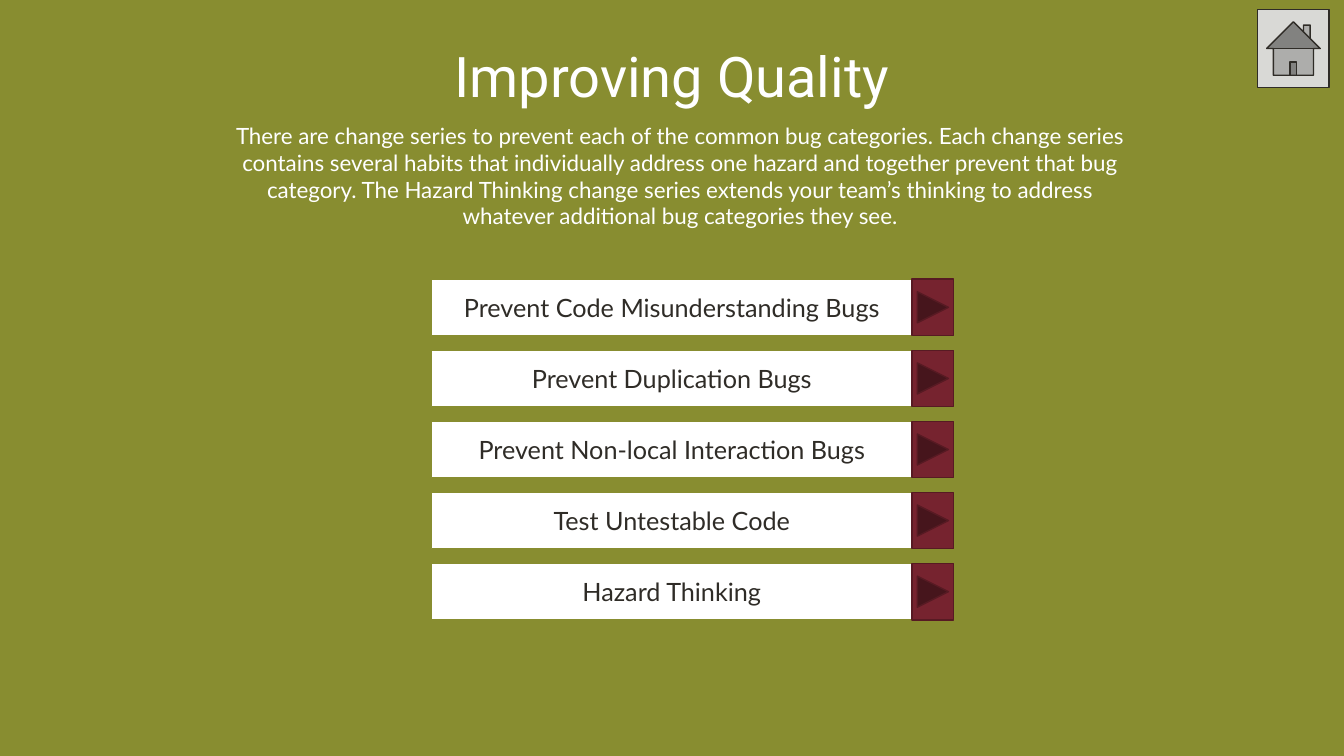
from dataclasses import dataclass

from lxml.etree import SubElement
from pptx import Presentation
from pptx.dml.color import RGBColor
from pptx.enum.shapes import MSO_SHAPE
from pptx.enum.text import MSO_ANCHOR, MSO_AUTO_SIZE, PP_ALIGN
from pptx.oxml.ns import qn
from pptx.util import Pt


@dataclass(frozen=True)
class Theme:
    olive: str = "888D30"
    white: str = "FFFFFF"
    ink: str = "2F2C27"
    wine: str = "76232F"
    edge: str = "571A23"
    grey: str = "D9D9D6"
    head: str = "Roboto"
    text: str = "Lato"
    big: int = 40
    mid: int = 18
    small: int = 16


THEME = Theme()
INTRO = (
    "There are change series to prevent each of the common bug categories. "
    "Each change series contains several habits that individually address one "
    "hazard and together prevent that bug category. The Hazard Thinking change "
    "series extends your team’s thinking to address whatever additional bug "
    "categories they see."
)
TOPICS = (
    "Prevent Code Misunderstanding Bugs",
    "Prevent Duplication Bugs",
    "Prevent Non-local Interaction Bugs",
    "Test Untestable Code",
    "Hazard Thinking",
)


def color(code):
    return RGBColor.from_string(code)


def write(shape, text, face, size, tint, anchor):
    """Put one centred paragraph into a shape."""
    frame = shape.text_frame
    frame.text = text
    frame.word_wrap = True
    frame.auto_size = MSO_AUTO_SIZE.NONE
    frame.vertical_anchor = anchor
    line = frame.paragraphs[0]
    line.alignment = PP_ALIGN.CENTER
    line.space_before = Pt(0)
    font = line.runs[0].font
    font.name, font.size = face, Pt(size)
    font.color.rgb = color(tint)
    return line


def place(shape, box):
    shape.left, shape.top, shape.width, shape.height = map(Pt, box)


def draw(slide, kind, box, fill, edge):
    """Add a flat preset shape with a thin outline."""
    shape = slide.shapes.add_shape(kind, *map(Pt, box))
    shape.shadow.inherit = False
    shape.fill.solid()
    shape.fill.fore_color.rgb = color(fill)
    shape.line.color.rgb = color(edge)
    shape.line.width = Pt(1)
    return shape


def add_title(slide, box):
    title = slide.shapes.title
    place(title, box)
    write(title, "Improving Quality", THEME.head, THEME.big, THEME.white,
          MSO_ANCHOR.TOP)


def add_intro(slide, box):
    body = slide.placeholders[1]
    place(body, box)
    line = write(body, INTRO, THEME.text, THEME.small, THEME.white,
                 MSO_ANCHOR.TOP)
    # Plain text: no bullet, no hanging indent
    props = line._p.get_or_add_pPr()
    props.set("marL", "0")
    props.set("indent", "0")
    SubElement(props, qn("a:buNone"))


def add_menu(slide, box):
    """Stack one labelled bar with a forward button per topic."""
    left, top, width, height = box
    tall, side = 40.3, 29.6
    step = (height - tall) / (len(TOPICS) - 1)
    wide = width - side
    for row, topic in enumerate(TOPICS):
        y = top + row * step
        bar = draw(slide, MSO_SHAPE.RECTANGLE, (left, y, wide, tall),
                   THEME.white, THEME.olive)
        write(bar, topic, THEME.text, THEME.mid, THEME.ink, MSO_ANCHOR.MIDDLE)
        draw(slide, MSO_SHAPE.ACTION_BUTTON_FORWARD_OR_NEXT,
             (left + wide, y, side, tall), THEME.wine, THEME.edge)


def add_home(slide, box):
    draw(slide, MSO_SHAPE.ACTION_BUTTON_HOME, box, THEME.grey, THEME.ink)


def main():
    deck = Presentation()
    deck.slide_width, deck.slide_height = Pt(960), Pt(540)
    slide = deck.slides.add_slide(deck.slide_layouts[1])
    slide.background.fill.solid()
    slide.background.fill.fore_color.rgb = color(THEME.olive)

    # Heading
    add_title(slide, (258.5, 26, 442.8, 55.4))
    add_intro(slide, (153.2, 83.5, 665.3, 85))

    # Topics and home button
    add_menu(slide, (308.2, 199.4, 373, 243.4))
    add_home(slide, (898.4, 7, 51, 55.4))

    deck.save("out.pptx")


if __name__ == "__main__":
    main()
